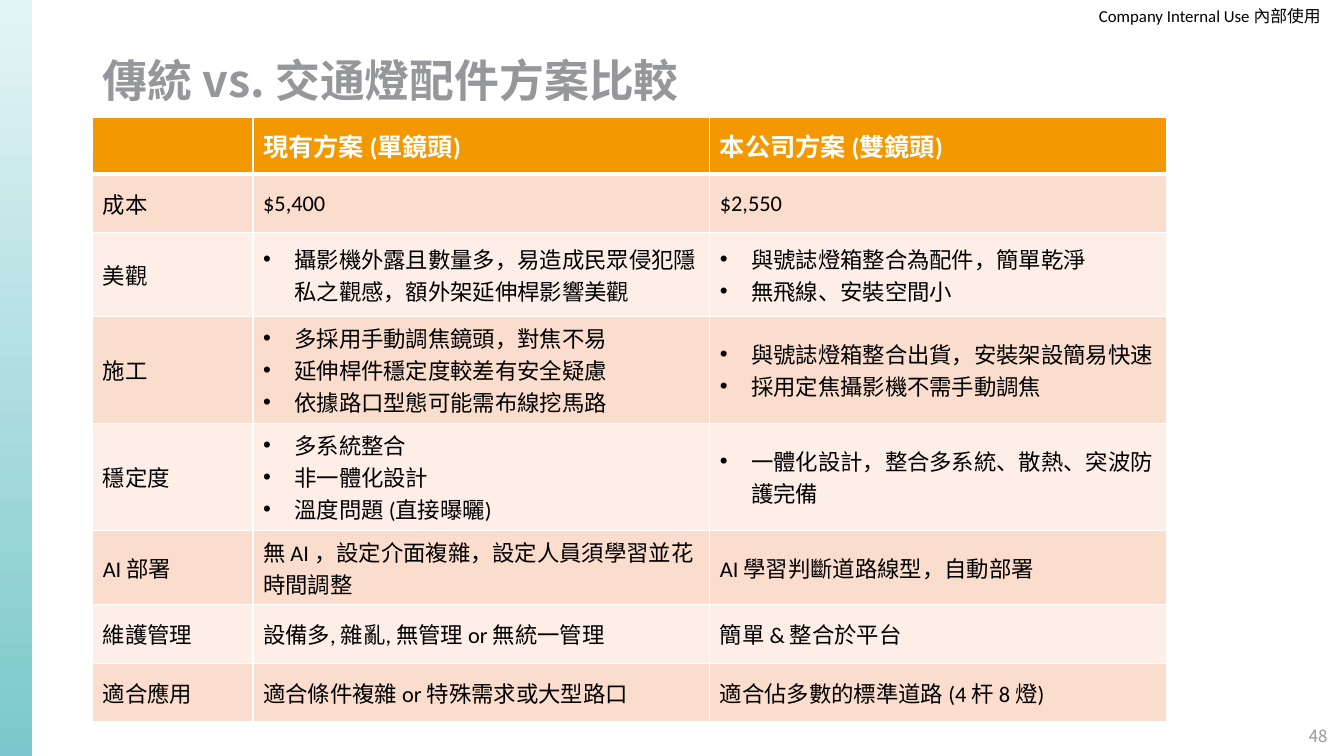
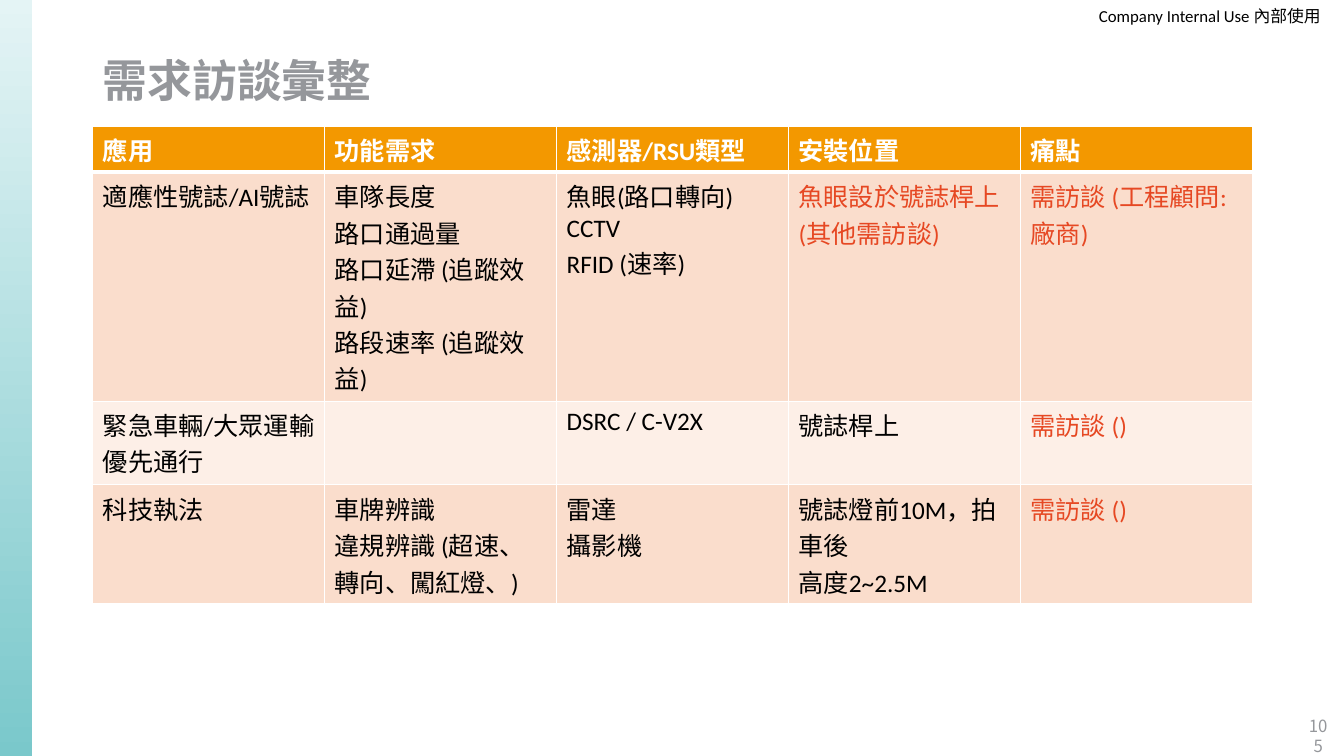
from dataclasses import dataclass

from lxml import etree
from pptx import Presentation
from pptx.dml.color import RGBColor
from pptx.enum.shapes import MSO_SHAPE
from pptx.enum.text import MSO_ANCHOR, PP_ALIGN
from pptx.oxml.ns import qn
from pptx.util import Inches, Pt

RECTANGLE = MSO_SHAPE.RECTANGLE
TOP, MIDDLE = MSO_ANCHOR.TOP, MSO_ANCHOR.MIDDLE
LEFT, CENTER, RIGHT = PP_ALIGN.LEFT, PP_ALIGN.CENTER, PP_ALIGN.RIGHT

SLIDE_WIDTH, SLIDE_HEIGHT = 13.33, 7.5
LATIN_FONT, CJK_FONT, NUMBER_FONT = "Calibri", "Noto Sans CJK TC", "Noto Sans CJK SC"
BLACK, WHITE, GREY, RED = "000000", "FFFFFF", "95979B", "E64823"
BAND_TOP, BAND_BOTTOM = "E4F4F5", "7AC8CB"
HEADER_FILL, DARK_ROW, LIGHT_ROW = "F39800", "FADDCC", "FDEFE7"
CONTENT_LEFT = 0.92
BULLET_INDENT = 0.31
HEADER_SIZE = 18


@dataclass
class Cell:
    """Lines of one table cell with their look."""
    lines: tuple
    bulleted: bool = False
    color: str = BLACK


def plain(*lines):
    """Return a cell of black paragraphs."""
    return Cell(lines)


def bullets(*lines):
    """Return a cell of bulleted paragraphs."""
    return Cell(lines, bulleted=True)


def open_point(*lines):
    """Return a cell of red paragraphs that still need an interview."""
    return Cell(lines, color=RED)


def rgb(hex_color):
    """Turn a hex string into a colour."""
    return RGBColor.from_string(hex_color)


def format_paragraph(paragraph, size, color, bold=False, font=LATIN_FONT, cjk_font=CJK_FONT):
    """Set the font of every run of a paragraph."""
    for run in paragraph.runs:
        run.font.size = Pt(size)
        run.font.bold = bold
        run.font.name = font
        run.font.color.rgb = rgb(color)
        east_asian = etree.SubElement(run._r.get_or_add_rPr(), qn("a:ea"))
        east_asian.set("typeface", cjk_font)


def add_text(slide, text, box, size, color, align=LEFT, inset=None, line_spacing=None, **font):
    """Add a vertically centred text box."""
    shape = slide.shapes.add_textbox(*map(Inches, box))
    frame = shape.text_frame
    frame.word_wrap = True
    frame.vertical_anchor = MIDDLE
    if inset is not None:
        frame.margin_left = frame.margin_right = Inches(inset)
        frame.margin_top = frame.margin_bottom = Inches(inset)
    frame.text = text
    paragraph = frame.paragraphs[0]
    paragraph.alignment = align
    paragraph.line_spacing = line_spacing
    format_paragraph(paragraph, size, color, **font)


def add_side_band(slide):
    """Draw the gradient band at the left edge."""
    band = slide.shapes.add_shape(RECTANGLE, 0, 0, Inches(0.32), Inches(SLIDE_HEIGHT))
    band.shadow.inherit = False
    band.line.fill.background()
    band.fill.gradient()
    band.fill.gradient_angle = 270
    for stop, color in zip(band.fill.gradient_stops, (BAND_TOP, BAND_BOTTOM)):
        stop.color.rgb = rgb(color)


def add_base_slide(presentation, title, number):
    """Add a blank slide with the shared notice, band, title and number."""
    slide = presentation.slides.add_slide(presentation.slide_layouts[6])
    add_text(slide, "Company Internal Use 內部使用", (10.6, 0, 2.5, 0.32), 12, BLACK,
             align=RIGHT, inset=0)
    add_side_band(slide)
    add_text(slide, title, (CONTENT_LEFT, 0.4, 11.5, 0.85), 32, GREY,
             line_spacing=0.9, bold=True, font=CJK_FONT)
    add_text(slide, str(number), (12.86, 7.1, 0.43, 0.4), 12, GREY,
             align=CENTER, font=NUMBER_FONT, cjk_font=NUMBER_FONT)
    return slide


def set_borders(table_cell, top, bottom):
    """Give a cell white borders, with top and bottom widths in points."""
    properties = table_cell._tc.get_or_add_tcPr()
    sides = (("a:lnL", 1), ("a:lnR", 1), ("a:lnT", top), ("a:lnB", bottom))
    for position, (side, width) in enumerate(sides):
        line = etree.Element(qn(side), w=str(Pt(width)))
        fill = etree.SubElement(line, qn("a:solidFill"))
        etree.SubElement(fill, qn("a:srgbClr"), val=WHITE)
        properties.insert(position, line)


def add_bullet(paragraph):
    """Give a paragraph a hanging bullet."""
    properties = paragraph._p.get_or_add_pPr()
    properties.set("marL", str(Inches(BULLET_INDENT)))
    properties.set("indent", str(-Inches(BULLET_INDENT)))
    etree.SubElement(properties, qn("a:buFont"), typeface="Arial")
    etree.SubElement(properties, qn("a:buChar"), char="•")


def fill_cell(table_cell, cell, row, body_size, anchor):
    """Write and style one cell according to its row."""
    is_header = row == 0
    table_cell.fill.solid()
    row_fill = HEADER_FILL if is_header else (LIGHT_ROW, DARK_ROW)[row % 2]
    table_cell.fill.fore_color.rgb = rgb(row_fill)
    table_cell.vertical_anchor = anchor
    set_borders(table_cell, 3 if row == 1 else 1, 3 if is_header else 1)
    frame = table_cell.text_frame
    frame.text = "\n".join(cell.lines)
    for paragraph in frame.paragraphs:
        if cell.bulleted:
            add_bullet(paragraph)
        format_paragraph(paragraph, HEADER_SIZE if is_header else body_size,
                         WHITE if is_header else cell.color, bold=is_header)


def add_grid(slide, top, widths, heights, headers, body, body_size, anchor):
    """Add a banded table with a header row."""
    rows = [[plain(header) for header in headers], *body]
    frame = slide.shapes.add_table(len(rows), len(widths), Inches(CONTENT_LEFT), Inches(top),
                                   Inches(sum(widths)), Inches(sum(heights)))
    table = frame.table
    for column, width in zip(table.columns, widths):
        column.width = Inches(width)
    for row, height in zip(table.rows, heights):
        row.height = Inches(height)
    for row_index, cells in enumerate(rows):
        for column_index, cell in enumerate(cells):
            fill_cell(table.cell(row_index, column_index), cell, row_index, body_size, anchor)


def add_comparison_slide(presentation):
    """Compare the existing solution with the accessory solution."""
    slide = add_base_slide(presentation, "傳統 vs. 交通燈配件方案比較", 48)
    body = [
        [plain("成本"), plain("$5,400"), plain("$2,550")],
        [plain("美觀"),
         bullets("攝影機外露且數量多，易造成民眾侵犯隱私之觀感，額外架延伸桿影響美觀"),
         bullets("與號誌燈箱整合為配件，簡單乾淨", "無飛線、安裝空間小")],
        [plain("施工"),
         bullets("多採用手動調焦鏡頭，對焦不易", "延伸桿件穩定度較差有安全疑慮",
                 "依據路口型態可能需布線挖馬路"),
         bullets("與號誌燈箱整合出貨，安裝架設簡易快速", "採用定焦攝影機不需手動調焦")],
        [plain("穩定度"),
         bullets("多系統整合", "非一體化設計", "溫度問題 (直接曝曬)"),
         bullets("一體化設計，整合多系統、散熱、突波防護完備")],
        [plain("AI 部署"),
         plain("無 AI ，設定介面複雜，設定人員須學習並花時間調整"),
         plain("AI 學習判斷道路線型，自動部署")],
        [plain("維護管理"), plain("設備多, 雜亂, 無管理 or 無統一管理"),
         plain("簡單 & 整合於平台")],
        [plain("適合應用"), plain("適合條件複雜 or 特殊需求或大型路口"),
         plain("適合佔多數的標準道路 (4 杆 8 燈)")],
    ]
    add_grid(slide, 1.16, (1.59, 4.53, 4.53),
             (0.57, 0.58, 0.83, 1.06, 1.06, 0.74, 0.58, 0.58),
             ("", "現有方案 (單鏡頭)", "本公司方案 (雙鏡頭)"), body, 16, MIDDLE)


def add_interview_slide(presentation):
    """Summarise the needs gathered in interviews."""
    slide = add_base_slide(presentation, "需求訪談彙整", 105)
    body = [
        [plain("適應性號誌/AI號誌"),
         plain("車隊長度", "路口通過量", "路口延滯 (追蹤效益)", "路段速率 (追蹤效益)"),
         plain("魚眼(路口轉向)", "CCTV", "RFID (速率)"),
         open_point("魚眼設於號誌桿上 (其他需訪談)"),
         open_point("需訪談 (工程顧問: 廠商)")],
        [plain("緊急車輛/大眾運輸優先通行"), plain(""), plain("DSRC / C-V2X"),
         plain("號誌桿上"), open_point("需訪談 ()")],
        [plain("科技執法"), plain("車牌辨識", "違規辨識 (超速、轉向、闖紅燈、)"),
         plain("雷達", "攝影機"), plain("號誌燈前10M，拍車後", "高度2~2.5M"),
         open_point("需訪談 ()")],
    ]
    add_grid(slide, 1.25, (2.3,) * 5, (0.46, 2.27, 0.83, 1.18),
             ("應用", "功能需求", "感測器/RSU類型", "安裝位置", "痛點"), body, 18, TOP)


def main():
    """Build and save the presentation."""
    presentation = Presentation()
    presentation.slide_width = Inches(SLIDE_WIDTH)
    presentation.slide_height = Inches(SLIDE_HEIGHT)
    add_comparison_slide(presentation)
    add_interview_slide(presentation)
    presentation.save("out.pptx")


if __name__ == "__main__":
    main()
